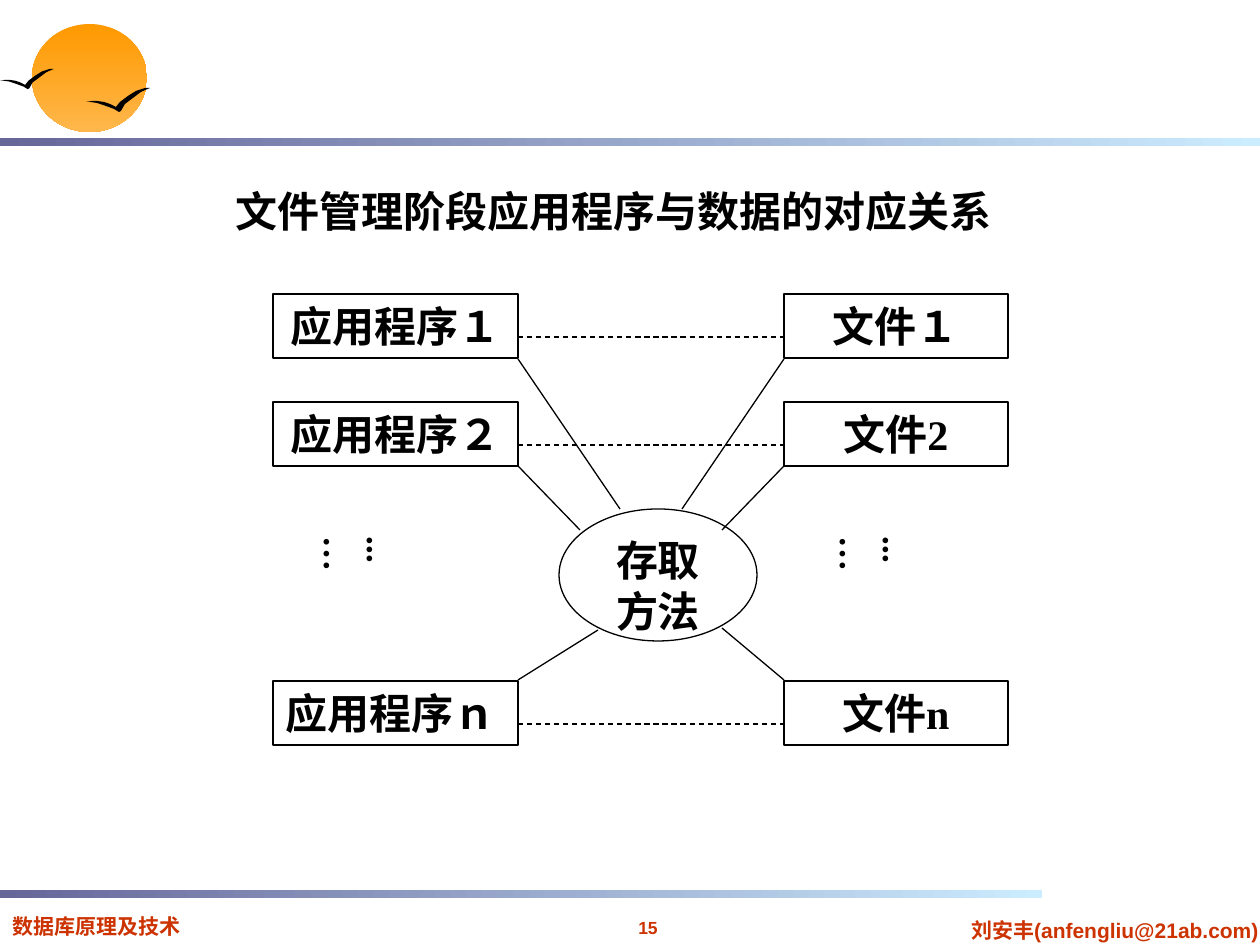
from lxml import etree
from pptx import Presentation
from pptx.dml.color import RGBColor
from pptx.enum.dml import MSO_LINE
from pptx.enum.shapes import MSO_CONNECTOR, MSO_SHAPE
from pptx.enum.text import MSO_ANCHOR, PP_ALIGN
from pptx.oxml.ns import qn
from pptx.util import Emu, Pt

RECTANGLE, OVAL = MSO_SHAPE.RECTANGLE, MSO_SHAPE.OVAL
STRAIGHT = MSO_CONNECTOR.STRAIGHT
DASH = MSO_LINE.DASH
LEFT, CENTER, JUSTIFY = PP_ALIGN.LEFT, PP_ALIGN.CENTER, PP_ALIGN.JUSTIFY
TOP, BOTTOM = MSO_ANCHOR.TOP, MSO_ANCHOR.BOTTOM

BLACK = RGBColor(0x00, 0x00, 0x00)
WHITE = RGBColor(0xFF, 0xFF, 0xFF)
RUST = RGBColor(0xCC, 0x33, 0x00)
ORANGE = RGBColor(0xFF, 0x99, 0x00)
LIGHT_ORANGE = RGBColor(0xFF, 0xB7, 0x4C)
PURPLE = RGBColor(0x66, 0x66, 0x99)
PALE_BLUE = RGBColor(0xCC, 0xEC, 0xFF)

CJK_FONT = "Noto Sans CJK SC"
LABEL = {"size": Pt(24), "name": "Times New Roman", "bold": True}
DOTS = {"size": Pt(20), "name": "Times New Roman", "bold": True}
HEADING = {"size": Pt(24), "name": CJK_FONT, "bold": True}
FOOTER = {"size": Pt(12), "name": "Arial", "bold": True}
PAGE = {"size": Pt(10), "name": "Arial", "bold": True}

PX = 914400 / 126
TITLE = "文件管理阶段应用程序与数据的对应关系"
TITLE_AREA = (136, 179, 955, 63)
FOOTERS = [
    ("数据库原理及技术", (0, 907, 252, 38), LEFT, FOOTER, True),
    ("15", (593, 911, 110, 34), CENTER, PAGE, False),
    ("刘安丰(anfengliu@21ab.com)", (956, 911, 318, 38), CENTER, FOOTER, False),
]
GRADIENTS = [
    (OVAL, (32, 24, 115, 108), (ORANGE, LIGHT_ORANGE), 270),
    (RECTANGLE, (0, 138, 1260, 8), (PURPLE, PALE_BLUE), 0),
    (RECTANGLE, (0, 890, 1042, 8), (PURPLE, PALE_BLUE), 0),
]
BIRD = [
    (0, 14), (6, 13), (11, 13), (18, 14), (24, 16), (30, 19), (34, 14),
    (42, 8), (50, 3), (59, 0), (64, 0), (55, 4), (47, 10), (39, 16),
    (35, 23), (33, 24), (28, 21), (20, 18), (11, 15), (4, 14),
]
BIRD_PLACES = [(0, 69, 0.84), (86, 88, 1)]

ROWS = [
    (294, "应用程序１", "文件１", CENTER),
    (402, "应用程序２", "文件2", CENTER),
    (681, "应用程序ｎ", "文件n", JUSTIFY),
]
PROGRAM_LEFT, PROGRAM_WIDTH = 273, 245
FILE_LEFT, FILE_WIDTH = 784, 224
BOX_HEIGHT, DASH_DROP = 64, 43
PROGRAM_EDGE = PROGRAM_LEFT + PROGRAM_WIDTH
ACCESS, ACCESS_AREA = "存取方法", (559, 509, 198, 132)
SPOKES = [
    (PROGRAM_EDGE, 359, 620, 509), (FILE_LEFT, 359, 682, 509),
    (PROGRAM_EDGE, 466, 580, 530), (FILE_LEFT, 466, 722, 530),
    (PROGRAM_EDGE, 680, 598, 630), (FILE_LEFT, 680, 722, 628),
]
ELLIPSIS, ELLIPSIS_LEFTS = "...…", (311, 827)


def px(value):
    return Emu(round(value * PX))


def scaled(values):
    return [px(value) for value in values]


def write(shape, text, style, color=BLACK, align=CENTER, anchor=TOP, wrap=True, spacing=None):
    frame = shape.text_frame
    frame.word_wrap, frame.vertical_anchor = wrap, anchor
    paragraph = frame.paragraphs[0]
    paragraph.alignment, paragraph.line_spacing = align, spacing
    run = paragraph.add_run()
    run.text = text
    for key, value in style.items():
        setattr(run.font, key, value)
    run.font.color.rgb = color
    properties = run.font._element
    properties.set("lang", "zh-CN")
    etree.SubElement(properties, qn("a:ea")).set("typeface", CJK_FONT)
    return frame


def add_node(shapes, kind, area, text, align=CENTER):
    node = shapes.add_shape(kind, *scaled(area))
    node.shadow.inherit = False
    node.fill.solid()
    node.fill.fore_color.rgb = WHITE
    node.line.color.rgb = BLACK
    node.line.width = Pt(0.75)
    write(node, text, LABEL, align=align, spacing=Pt(29))


def add_link(shapes, ends, dash=None):
    link = shapes.add_connector(STRAIGHT, *scaled(ends))
    link.line.color.rgb = BLACK
    link.line.width = Pt(0.75)
    link.line.dash_style = dash
    etree.SubElement(link._element.spPr, qn("a:effectLst"))


def add_decoration(shapes):
    for kind, area, colors, angle in GRADIENTS:
        band = shapes.add_shape(kind, *scaled(area))
        band.shadow.inherit = False
        band.line.fill.background()
        band.fill.gradient()
        band.fill.gradient_angle = angle
        for stop, color, position in zip(band.fill.gradient_stops, colors, (0, 1)):
            stop.color.rgb, stop.position = color, position
    for left, top, size in BIRD_PLACES:
        outline = shapes.build_freeform(*BIRD[0], scale=PX * size)
        outline.add_line_segments(BIRD[1:], close=True)
        bird = outline.convert_to_shape(px(left), px(top))
        bird.shadow.inherit = False
        bird.fill.solid()
        bird.fill.fore_color.rgb = BLACK
        bird.line.fill.background()


def add_diagram(shapes):
    for top, program, file, align in ROWS:
        add_node(shapes, RECTANGLE, (PROGRAM_LEFT, top, PROGRAM_WIDTH, BOX_HEIGHT), program, align)
        add_node(shapes, RECTANGLE, (FILE_LEFT, top, FILE_WIDTH, BOX_HEIGHT), file)
        level = top + DASH_DROP
        add_link(shapes, (PROGRAM_EDGE, level, FILE_LEFT, level), DASH)
    add_node(shapes, OVAL, ACCESS_AREA, ACCESS)
    for ends in SPOKES:
        add_link(shapes, ends)
    for left in ELLIPSIS_LEFTS:
        dots = shapes.add_textbox(*scaled((left, 524, 109, 68)))
        frame = write(dots, ELLIPSIS, DOTS, align=LEFT, spacing=Pt(24.5))
        margins = {"margin_left": 6, "margin_top": 13, "margin_right": 17, "margin_bottom": 13}
        for side, inset in margins.items():
            setattr(frame, side, px(inset))
        frame._txBody.bodyPr.set("vert", "eaVert")


def main():
    """Build the slide on programs and data in the file management stage."""
    deck = Presentation()
    deck.slide_width, deck.slide_height = scaled((1260, 945))
    shapes = deck.slides.add_slide(deck.slide_layouts[6]).shapes
    add_decoration(shapes)
    for text, area, align, style, wrap in FOOTERS:
        write(shapes.add_textbox(*scaled(area)), text, style, RUST, align, wrap=wrap)
    write(shapes.add_textbox(*scaled(TITLE_AREA)), TITLE, HEADING, anchor=BOTTOM)
    add_diagram(shapes)
    deck.save("out.pptx")


if __name__ == "__main__":
    main()
